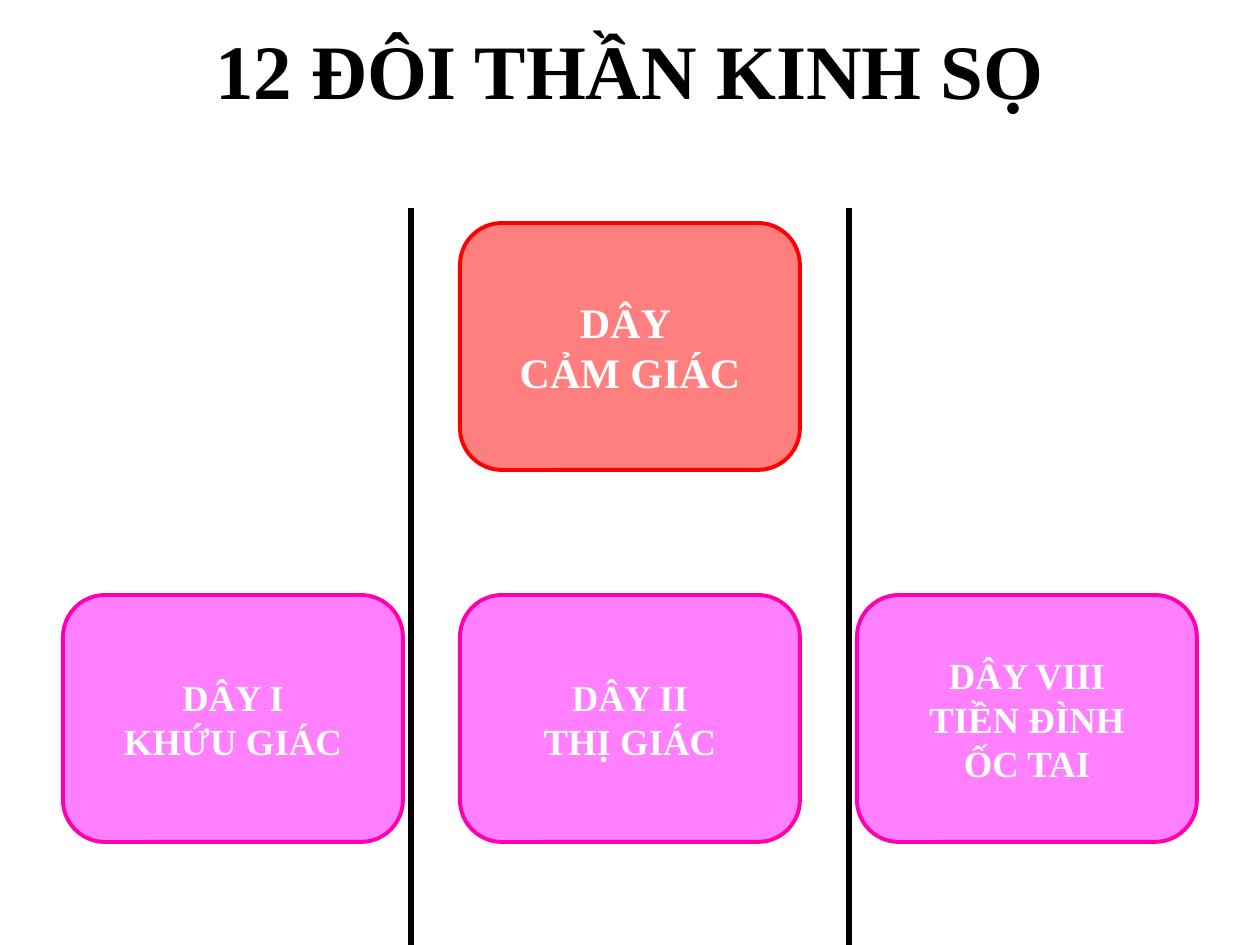
"""Build a slide that charts the sensory cranial nerves."""
from lxml import etree
from pptx import Presentation
from pptx.dml.color import RGBColor
from pptx.enum.shapes import MSO_CONNECTOR, MSO_SHAPE
from pptx.enum.text import MSO_ANCHOR, PP_ALIGN
from pptx.oxml.ns import qn
from pptx.util import Emu, Pt

STRAIGHT = MSO_CONNECTOR.STRAIGHT
ROUNDED = MSO_SHAPE.ROUNDED_RECTANGLE
MIDDLE = MSO_ANCHOR.MIDDLE
CENTER = PP_ALIGN.CENTER

THEME = {
    "font": "Times New Roman",
    "ink": "000000",
    "label": "FFFFFF",
    "group": {"fill": "FF0000", "line": "FF0000", "size": 24},
    "nerve": {"fill": "FF00FF", "line": "FF00AD", "size": 21},
    "title_size": 44,
    "divider_width": 3,
    "box_width": 2.25,
    "opacity": 50,
}


def px(count):
    return Emu(round(count * 914400 / 126))


def write(frame, text, size, color, inset=(0, 0)):
    frame.word_wrap = True
    frame.vertical_anchor = MIDDLE
    frame.margin_left = frame.margin_right = Pt(inset[0])
    frame.margin_top = frame.margin_bottom = Pt(inset[1])
    frame.text = text
    for para in frame.paragraphs:
        para.alignment = CENTER
        for span in para.runs:
            span.font.name = THEME["font"]
            span.font.size = Pt(size)
            span.font.bold = True
            span.font.color.rgb = RGBColor.from_string(color)


deck = Presentation()
deck.slide_width, deck.slide_height = px(1260), px(945)
page = deck.slides.add_slide(deck.slide_layouts[6])

title = page.shapes.add_textbox(px(63), px(-10), px(1134), px(158))
write(title.text_frame, "12 ĐÔI THẦN KINH SỌ", THEME["title_size"], THEME["ink"], inset=(7.2, 3.6))

for x in (849, 411):
    divider = page.shapes.add_connector(STRAIGHT, px(x), px(208), px(x), px(981))
    divider.line.color.rgb = RGBColor.from_string(THEME["ink"])
    divider.line.width = Pt(THEME["divider_width"])
    etree.SubElement(divider._element.spPr, qn("a:effectLst"))

BOX_WIDTH, BOX_HEIGHT = 340, 247
LEFT, COLUMN_STEP = 63, 397
TOP, ROW_STEP = 223, 372
BOXES = [
    (1, 0, "group", "DÂY \nCẢM GIÁC"),
    (0, 1, "nerve", "DÂY I\nKHỨU GIÁC"),
    (1, 1, "nerve", "DÂY II\nTHỊ GIÁC"),
    (2, 1, "nerve", "DÂY VIII\nTIỀN ĐÌNH\nỐC TAI"),
]

for column, row, kind, text in BOXES:
    style = THEME[kind]
    x, y = LEFT + column * COLUMN_STEP, TOP + row * ROW_STEP
    box = page.shapes.add_shape(ROUNDED, px(x), px(y), px(BOX_WIDTH), px(BOX_HEIGHT))
    box.shadow.inherit = False
    box.adjustments[0] = 0.17
    box.fill.solid()
    box.fill.fore_color.rgb = RGBColor.from_string(style["fill"])
    tint = box._element.spPr.find(qn("a:solidFill")).find(qn("a:srgbClr"))
    etree.SubElement(tint, qn("a:alpha"), val=str(THEME["opacity"] * 1000))
    box.line.color.rgb = RGBColor.from_string(style["line"])
    box.line.width = Pt(THEME["box_width"])
    write(box.text_frame, text, style["size"], THEME["label"])

deck.save("out.pptx")
